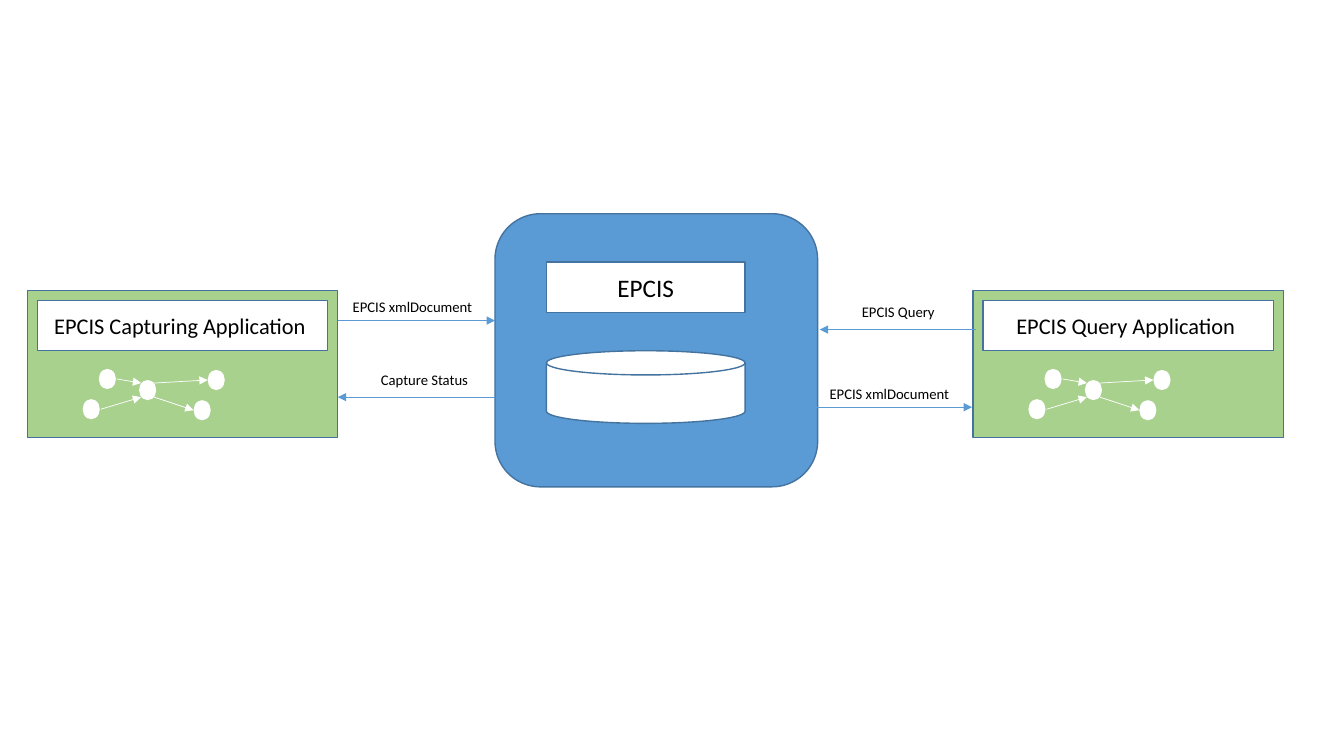
"""Build the EPCIS capture and query data-flow slide."""
from lxml.etree import SubElement
from pptx import Presentation
from pptx.dml.color import RGBColor
from pptx.enum.shapes import MSO_CONNECTOR as LINE, MSO_SHAPE as SHAPE
from pptx.enum.text import MSO_ANCHOR, MSO_AUTO_SIZE, PP_ALIGN
from pptx.oxml.ns import qn
from pptx.util import Inches, Pt

WHITE = RGBColor(0xFF, 0xFF, 0xFF)
BLACK = RGBColor(0, 0, 0)
BLUE = RGBColor(0x5B, 0x9B, 0xD5)
NAVY = RGBColor(0x43, 0x73, 0x9E)
GREEN = RGBColor(0xA9, 0xD1, 0x8E)

REPOSITORY = [
    (SHAPE.ROUNDED_RECTANGLE, (4.91, 2.12, 3.2, 2.71), BLUE, ""),
    (SHAPE.RECTANGLE, (5.42, 2.6, 1.97, 0.5), WHITE, "EPCIS"),
    (SHAPE.FLOWCHART_MAGNETIC_DISK, (5.42, 3.48, 1.97, 0.72), WHITE, ""),
]
APPLICATIONS = [
    ("EPCIS Capturing Application ", 0.27),
    ("EPCIS Query Application ", 9.65),
]
APP_TOP, APP_WIDTH, APP_HEIGHT = 2.88, 3.08, 1.46
TITLE_INSET, TITLE_HEIGHT = 0.1, 0.5
NODE_WIDTH, NODE_HEIGHT = 0.17, 0.2
EVENT_NODES = [(0.71, 0.78), (1.11, 0.89), (0.55, 1.08), (1.79, 0.79), (1.65, 1.09)]
EVENT_LINKS = [
    ((0.89, 0.88), (1.13, 0.92)),
    ((0.73, 1.18), (1.13, 1.06)),
    ((1.26, 0.92), (1.79, 0.89)),
    ((1.26, 1.06), (1.65, 1.19)),
]
MESSAGES = [
    ("EPCIS xmlDocument", (3.4, 2.91, 1.46, 0.29), (3.35, 4.91), 3.18),
    ("Capture Status ", (3.68, 3.63, 1.12, 0.28), (4.91, 3.35), 3.94),
    ("EPCIS xmlDocument", (8.13, 3.77, 1.46, 0.29), (8.09, 9.64), 4.04),
    ("EPCIS Query", (8.45, 2.96, 0.93, 0.28), (9.68, 8.13), 3.27),
]

deck = Presentation()
deck.slide_width, deck.slide_height = Inches(13.33), Inches(7.5)
slide = deck.slides.add_slide(deck.slide_layouts[6])


def write(frame, text, size):
    frame.text = text
    font = frame.paragraphs[0].runs[0].font
    font.name, font.size, font.color.rgb = "Calibri", Pt(size), BLACK


def add_block(kind, box, fill, text="", size=18, outline=NAVY):
    block = slide.shapes.add_shape(kind, *map(Inches, box))
    block.shadow.inherit = False
    block.fill.solid()
    block.fill.fore_color.rgb = fill
    if outline is None:
        block.line.fill.background()
    else:
        block.line.color.rgb, block.line.width = outline, Pt(1)
    if text:
        write(block.text_frame, text, size)
        block.text_frame.vertical_anchor = MSO_ANCHOR.MIDDLE
        block.text_frame.paragraphs[0].alignment = PP_ALIGN.CENTER


def add_arrow(start, end, color):
    arrow = slide.shapes.add_connector(LINE.STRAIGHT, *map(Inches, start + end))
    arrow.line.color.rgb, arrow.line.width = color, Pt(0.5)
    SubElement(arrow.line._get_or_add_ln(), qn("a:tailEnd"), type="triangle")
    SubElement(arrow._element.spPr, qn("a:effectLst"))


def add_application(title, left):
    add_block(SHAPE.RECTANGLE, (left, APP_TOP, APP_WIDTH, APP_HEIGHT), GREEN)
    title_box = (left + TITLE_INSET, APP_TOP + TITLE_INSET,
                 APP_WIDTH - 2 * TITLE_INSET, TITLE_HEIGHT)
    add_block(SHAPE.RECTANGLE, title_box, WHITE, title, 16)
    for x, y in EVENT_NODES:
        node_box = (left + x, APP_TOP + y, NODE_WIDTH, NODE_HEIGHT)
        add_block(SHAPE.OVAL, node_box, WHITE, outline=None)
    for link in EVENT_LINKS:
        start, end = [(left + x, APP_TOP + y) for x, y in link]
        add_arrow(start, end, WHITE)


def add_message(text, box, span, y):
    add_arrow((span[0], y), (span[1], y), BLUE)
    frame = slide.shapes.add_textbox(*map(Inches, box)).text_frame
    frame.word_wrap = False
    frame.auto_size = MSO_AUTO_SIZE.SHAPE_TO_FIT_TEXT
    write(frame, text, 10.5)


for part in REPOSITORY:
    add_block(*part)
for application in APPLICATIONS:
    add_application(*application)
for message in MESSAGES:
    add_message(*message)

deck.save("out.pptx")
